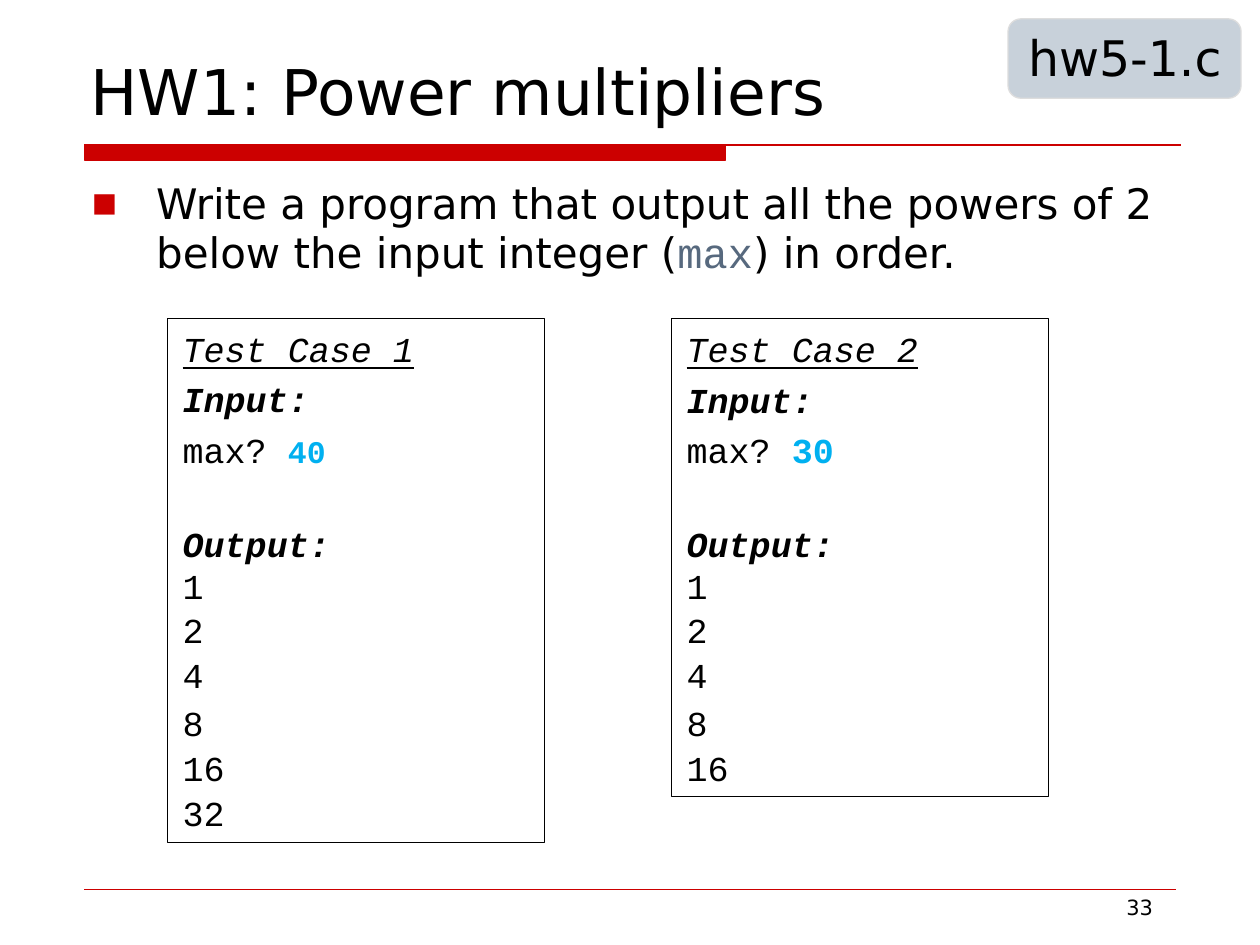
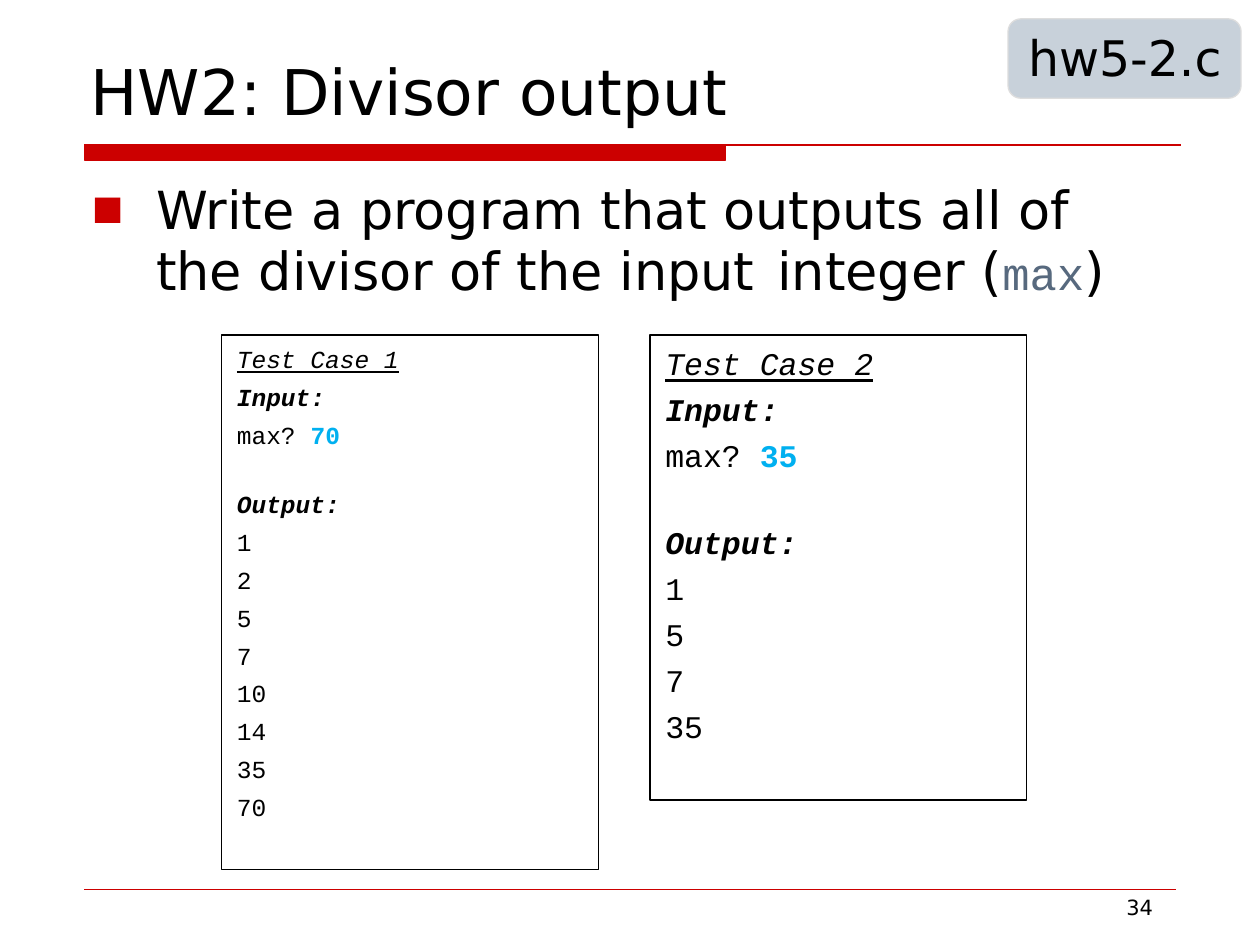
from dataclasses import dataclass

from lxml import etree
from pptx import Presentation
from pptx.dml.color import RGBColor
from pptx.enum.shapes import MSO_CONNECTOR, MSO_SHAPE
from pptx.enum.text import MSO_ANCHOR
from pptx.oxml.ns import qn
from pptx.util import Inches, Pt

RECT, ROUNDED = MSO_SHAPE.RECTANGLE, MSO_SHAPE.ROUNDED_RECTANGLE
STRAIGHT = MSO_CONNECTOR.STRAIGHT
TOP, MIDDLE = MSO_ANCHOR.TOP, MSO_ANCHOR.MIDDLE

WIDTH, HEIGHT = Inches(10), Inches(7.5)
COL, ROW = WIDTH / 100, HEIGHT / 75  # grid of 100 columns and 75 rows
MARGIN = 6.7
CASE_WIDTH = 29.9


@dataclass(frozen=True)
class Theme:
    sans: str = "DejaVu Sans"
    mono: str = "Courier New"
    text: str = "000000"
    accent: str = "CC0000"
    code: str = "57697E"
    entry: str = "00B0F0"
    badge: str = "C8D1DA"
    badge_line: str = "DDDDDD"
    title_size: float = 36
    badge_size: float = 28
    number_size: float = 12
    line: float = 0.75
    case_gap: float = 4.8
    mono_height: float = 1.13


THEME = Theme()


def rgb(color):
    return RGBColor.from_string(color)


def cols(n):
    return round(n * COL)


def rows(n):
    return round(n * ROW)


def grid(left, top, width, height):
    return cols(left), rows(top), cols(width), rows(height)


def set_font(font, size=None, name=None, color=None, bold=None, italic=None, underline=None):
    """Set only the given properties; the rest is inherited."""
    if size:
        font.size = Pt(size)
    if name:
        font.name = name
    if color:
        font.color.rgb = rgb(color)
    if bold is not None:
        font.bold = bold
    if italic is not None:
        font.italic = italic
    if underline is not None:
        font.underline = underline


def prepare_frame(sp, left=0, top=0.1, bottom=0, anchor=TOP, wrap=True):
    tf = sp.text_frame
    tf.margin_left, tf.margin_right = cols(left), 0
    tf.margin_top, tf.margin_bottom = rows(top), rows(bottom)
    tf.vertical_anchor = anchor
    tf.word_wrap = wrap
    return tf


def add_paragraph(tf, runs, before=0, **font):
    """Add a paragraph of (text, font changes) runs over one base font."""
    p = tf.paragraphs[0]
    if p.runs:
        p = tf.add_paragraph()
    p.space_before = Pt(before)
    p.alignment = 1
    set_font(p.font, **font)
    for text, changes in runs:
        r = p.add_run()
        r.text = text
        set_font(r.font, **changes)
    return p


def add_label(slide, area, text, size, before=1):
    sp = slide.shapes.add_textbox(*grid(*area))
    add_paragraph(prepare_frame(sp, left=0.1, wrap=False), [(text, {})], before,
                  size=size, name=THEME.sans, color=THEME.text)


def add_box(slide, kind, area, fill=None, line=THEME.text):
    sp = slide.shapes.add_shape(kind, *grid(*area))
    sp.shadow.inherit = False
    if fill:
        sp.fill.solid()
        sp.fill.fore_color.rgb = rgb(fill)
    else:
        sp.fill.background()
    sp.line.color.rgb = rgb(line)
    sp.line.width = Pt(THEME.line)
    return sp


def add_rule(slide, top, right):
    line = slide.shapes.add_connector(STRAIGHT, cols(MARGIN), rows(top), cols(right), rows(top))
    line.line.color.rgb = rgb(THEME.accent)
    line.line.width = Pt(THEME.line)
    etree.SubElement(line._element.spPr, qn("a:effectLst"))


def add_frame(slide, title, file_name, number):
    """Draw what every slide shares: title, bands, file badge and page number."""
    add_box(slide, RECT, (MARGIN, 11.5, 50.9, 1.2), THEME.accent, THEME.accent)
    add_rule(slide, 11.5, 93.7)
    add_rule(slide, 70.6, 93.3)
    add_label(slide, (7.1, 4.1, 59.5, 6.3), title, THEME.title_size)

    badge = add_box(slide, ROUNDED, (80, 1.5, 18.5, 6.3), THEME.badge, THEME.badge_line)
    badge.adjustments[0] = 0.16
    tf = prepare_frame(badge, left=1.3, bottom=0.4, anchor=MIDDLE, wrap=False)
    add_paragraph(tf, [(file_name, {})], size=THEME.badge_size, name=THEME.sans,
                  color=THEME.text)
    add_label(slide, (89.3, 70.9, 2.8, 2.3), str(number), THEME.number_size)


def add_bullet(p, tab=None):
    """Give the paragraph a hanging square bullet and an optional tab stop."""
    pPr = p._p.get_or_add_pPr()
    pPr.set("marL", str(cols(5.3)))
    pPr.set("indent", str(-cols(5.1)))
    parts = [etree.Element(qn(f"a:{tag}")) for tag in ("buClr", "buFont", "buChar")]
    color, font, char = parts
    etree.SubElement(color, qn("a:srgbClr")).set("val", THEME.accent)
    font.set("typeface", "Arial")
    char.set("char", "■")
    if tab:
        tabs = etree.Element(qn("a:tabLst"))
        etree.SubElement(tabs, qn("a:tab"), pos=str(cols(tab)), algn="l")
        parts.append(tabs)
    defaults = pPr.find(qn("a:defRPr"))
    for part in parts:
        defaults.addprevious(part)


def add_task(slide, area, runs, size, spacing, before, tab=None):
    sp = slide.shapes.add_textbox(*grid(*area))
    p = add_paragraph(prepare_frame(sp, top=0.3), runs, before,
                      size=size, name=THEME.sans, color=THEME.text)
    p.line_spacing = Pt(spacing)
    add_bullet(p, tab)


def add_test_case(slide, number, left, top, height, size, entry, outputs,
                  gaps=None, entry_size=None):
    """Draw one test case; gaps are the spaces before the output lines."""
    sp = add_box(slide, RECT, (left, top, CASE_WIDTH, height))
    tf = prepare_frame(sp, left=1.2, top=0.7)
    gap = THEME.case_gap
    output_gap = 2 * gap + (size - 2) * THEME.mono_height
    entry_font = dict(color=THEME.entry, bold=True, size=entry_size)
    heading = dict(bold=True, italic=True)
    lines = [
        ([(f"Test Case {number}", {})], gap, dict(italic=True, underline=True)),
        ([("Input:", {})], gap, heading),
        ([("max? ", {}), (str(entry), entry_font)], gap, {}),
        ([("Output:", {})], output_gap, heading),
    ]
    for value, before in zip(outputs, gaps or [gap] * len(outputs)):
        lines.append(([(str(value), {})], before, {}))
    for runs, before, style in lines:
        add_paragraph(tf, runs, before, size=size, name=THEME.mono, color=THEME.text, **style)


def add_power_slide(prs, blank):
    slide = prs.slides.add_slide(blank)
    add_frame(slide, "HW1: Power multipliers", "hw5-1.c", 33)
    add_task(slide, (7.1, 13.9, 85.6, 8.2), [
        ("Write a program that output all the powers of 2 below the input integer (", {}),
        ("max", dict(name=THEME.mono, color=THEME.code)),
        (") in order.", {}),
    ], size=24, spacing=28.1, before=2.5)
    gaps = (0, 1, 1.9, 3.1, 1.9, 1.9)
    powers = [2 ** n for n in range(6)]
    add_test_case(slide, 1, 13.3, 25.3, 41.6, 20, 40, powers, gaps, entry_size=18)
    add_test_case(slide, 2, 53.3, 25.3, 37.9, 20, 30, powers[:5], gaps)


def add_divisor_slide(prs, blank):
    slide = prs.slides.add_slide(blank)
    add_frame(slide, "HW2: Divisor output", "hw5-2.c", 34)
    add_task(slide, (7.1, 13.9, 80.7, 10.2), [
        ("Write a program that outputs all of the divisor of the input\tinteger (", {}),
        ("max", dict(size=26, name=THEME.mono, color=THEME.code)),
        (")", {}),
    ], size=30, spacing=35, before=3, tab=54.6)
    for number, left, height, size, entry in ((1, 17.6, 42.4, 14, 70), (2, 51.6, 36.9, 18, 35)):
        divisors = [n for n in range(1, entry + 1) if entry % n == 0]
        add_test_case(slide, number, left, 26.6, height, size, entry, divisors)


def main():
    prs = Presentation()
    prs.slide_width, prs.slide_height = WIDTH, HEIGHT
    blank = prs.slide_layouts[6]
    add_power_slide(prs, blank)
    add_divisor_slide(prs, blank)
    prs.save("out.pptx")


if __name__ == "__main__":
    main()
